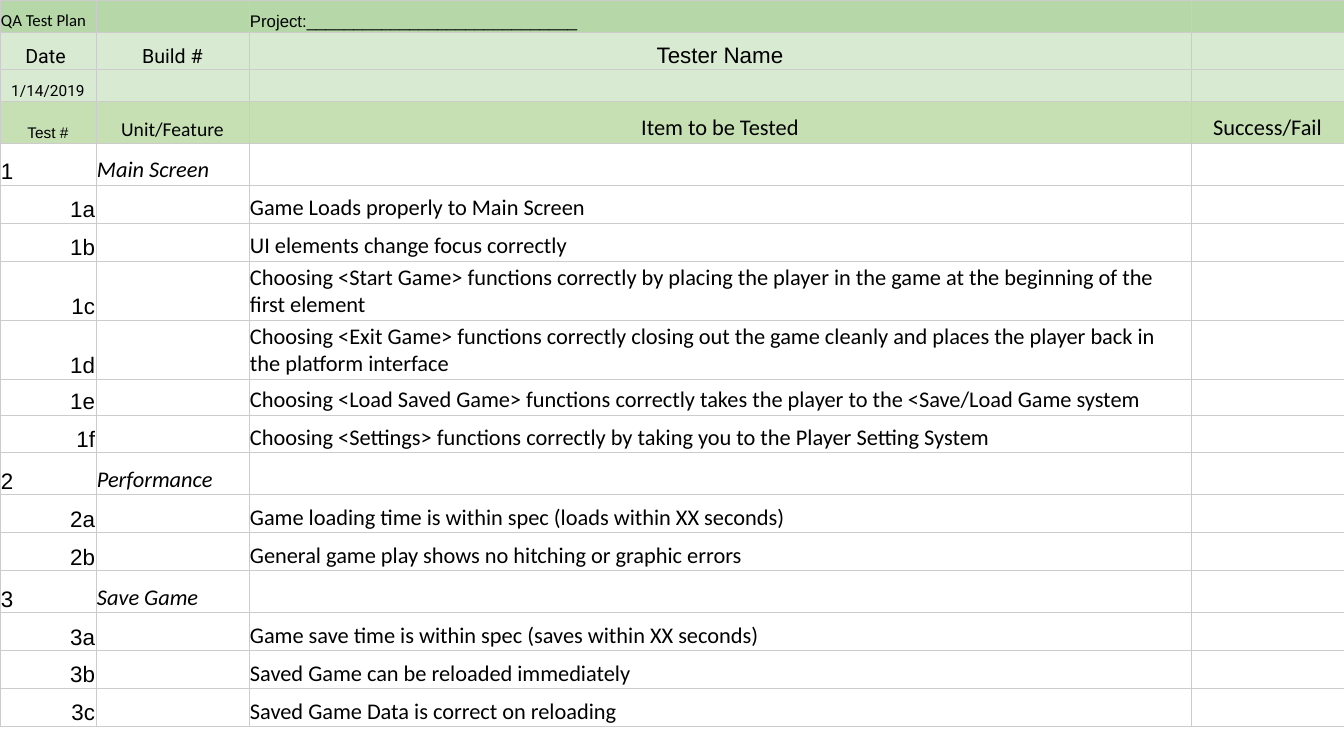
from lxml import etree
from pptx import Presentation
from pptx import util as u
from pptx.dml.color import RGBColor
from pptx.enum import text
from pptx.oxml.ns import qn

PX = 9071.43
BLACK = RGBColor(0x00, 0x00, 0x00)
TITLE_GREEN = RGBColor(0xB6, 0xD7, 0xA8)
PALE_GREEN = RGBColor(0xD9, 0xEA, 0xD3)
HEAD_GREEN = RGBColor(0xC6, 0xE0, 0xB4)
GRID = RGBColor(0xCC, 0xCC, 0xCC)

LEFT = text.PP_ALIGN.LEFT
CENTER = text.PP_ALIGN.CENTER
RIGHT = text.PP_ALIGN.RIGHT

COLS = [96, 153, 942, 153]
SECTION_H, CHECK_H, WRAPPED_H = 42, 38, 59

HEADER = [
    (32, TITLE_GREEN, LEFT, [
        ("QA Test Plan", "Calibri", 12), None,
        ("Project:_____________________________", "Arial", 12), None]),
    (37, PALE_GREEN, CENTER, [
        ("Date ", "Roboto", 14), ("Build #", "Roboto", 14),
        ("Tester Name", "Arial", 16), None]),
    (32, PALE_GREEN, CENTER, [("1/14/2019", "Roboto", 11), None, None, None]),
    (42, HEAD_GREEN, CENTER, [
        ("Test #", "Arial", 11), ("Unit/Feature", "Calibri", 14),
        ("Item to be Tested", "Calibri", 16), ("Success/Fail", "Calibri", 16)]),
]

SECTIONS = [
    ("Main Screen", [
        ("Game Loads properly to Main Screen", CHECK_H),
        ("UI elements change focus correctly", CHECK_H),
        ("Choosing <Start Game> functions correctly by placing the player "
         "in the game at the beginning of the first element", WRAPPED_H),
        ("Choosing <Exit Game> functions correctly closing out the game cleanly "
         "and places the player back in the platform interface", WRAPPED_H),
        ("Choosing <Load Saved Game> functions correctly takes the player "
         "to the <Save/Load Game system", 36),
        ("Choosing <Settings> functions correctly by taking you "
         "to the Player Setting System", CHECK_H)]),
    ("Performance", [
        ("Game loading time is within spec (loads within XX seconds)", CHECK_H),
        ("General game play shows no hitching or graphic errors", CHECK_H)]),
    ("Save Game", [
        ("Game save time is within spec (saves within XX seconds)", CHECK_H),
        ("Saved Game can be reloaded immediately", CHECK_H),
        ("Saved Game Data is correct on reloading", CHECK_H)]),
]


def px(n):
    return u.Emu(round(n * PX))


class Deck:
    def __init__(self, width, height):
        self.prs = Presentation()
        self.prs.slide_width, self.prs.slide_height = px(width), px(height)
        self.s = self.prs.slides.add_slide(self.prs.slide_layouts[6])

    def table(self, cols, heights):
        gf = self.s.shapes.add_table(len(heights), len(cols), 0, 0,
                                     px(sum(cols)), px(sum(heights)))
        tbl = gf.table
        tbl.first_row = tbl.horz_banding = False
        for col, w in zip(tbl.columns, cols):
            col.width = px(w)
        for row, h in zip(tbl.rows, heights):
            row.height = px(h)
        return tbl

    def borders(self, cell):
        tcPr = cell._tc.get_or_add_tcPr()
        for i, side in enumerate(("lnL", "lnR", "lnT", "lnB")):
            ln = etree.Element(qn("a:" + side), w=str(u.Pt(0.5)))
            fill = etree.SubElement(ln, qn("a:solidFill"))
            etree.SubElement(fill, qn("a:srgbClr"), val=str(GRID))
            tcPr.insert(i, ln)

    def cell(self, cell, content, align=LEFT, fill=None, italic=False):
        cell.margin_left = cell.margin_right = px(1)
        cell.margin_top = cell.margin_bottom = px(1)
        cell.vertical_anchor = text.MSO_ANCHOR.BOTTOM
        if fill is None:
            cell.fill.background()
        else:
            cell.fill.solid()
            cell.fill.fore_color.rgb = fill
        self.borders(cell)
        p = cell.text_frame.paragraphs[0]
        if content is None:
            etree.SubElement(p._p, qn("a:endParaRPr"), sz="1000")
            return
        p.alignment = align
        r = p.add_run()
        r.text, r.font.name, size = content
        r.font.size = u.Pt(size)
        r.font.italic = italic
        r.font.color.rgb = BLACK


def plan_rows():
    for height, fill, align, contents in HEADER:
        yield height, [(c, align, fill) for c in contents]
    empty = (None,)
    for n, (feature, checks) in enumerate(SECTIONS, 1):
        yield SECTION_H, [((str(n), "Arial", 16),),
                          ((feature, "Calibri", 16), LEFT, None, True),
                          empty, empty]
        for letter, (item, height) in zip("abcdef", checks):
            yield height, [((f"{n}{letter}", "Arial", 16), RIGHT), empty,
                           ((item, "Calibri", 16),), empty]


def main():
    deck = Deck(1344, 756)
    rows = list(plan_rows())
    tbl = deck.table(COLS, [height for height, _ in rows])
    for i, (_, cells) in enumerate(rows):
        for j, args in enumerate(cells):
            deck.cell(tbl.cell(i, j), *args)
    deck.prs.save("out.pptx")


if __name__ == "__main__":
    main()
